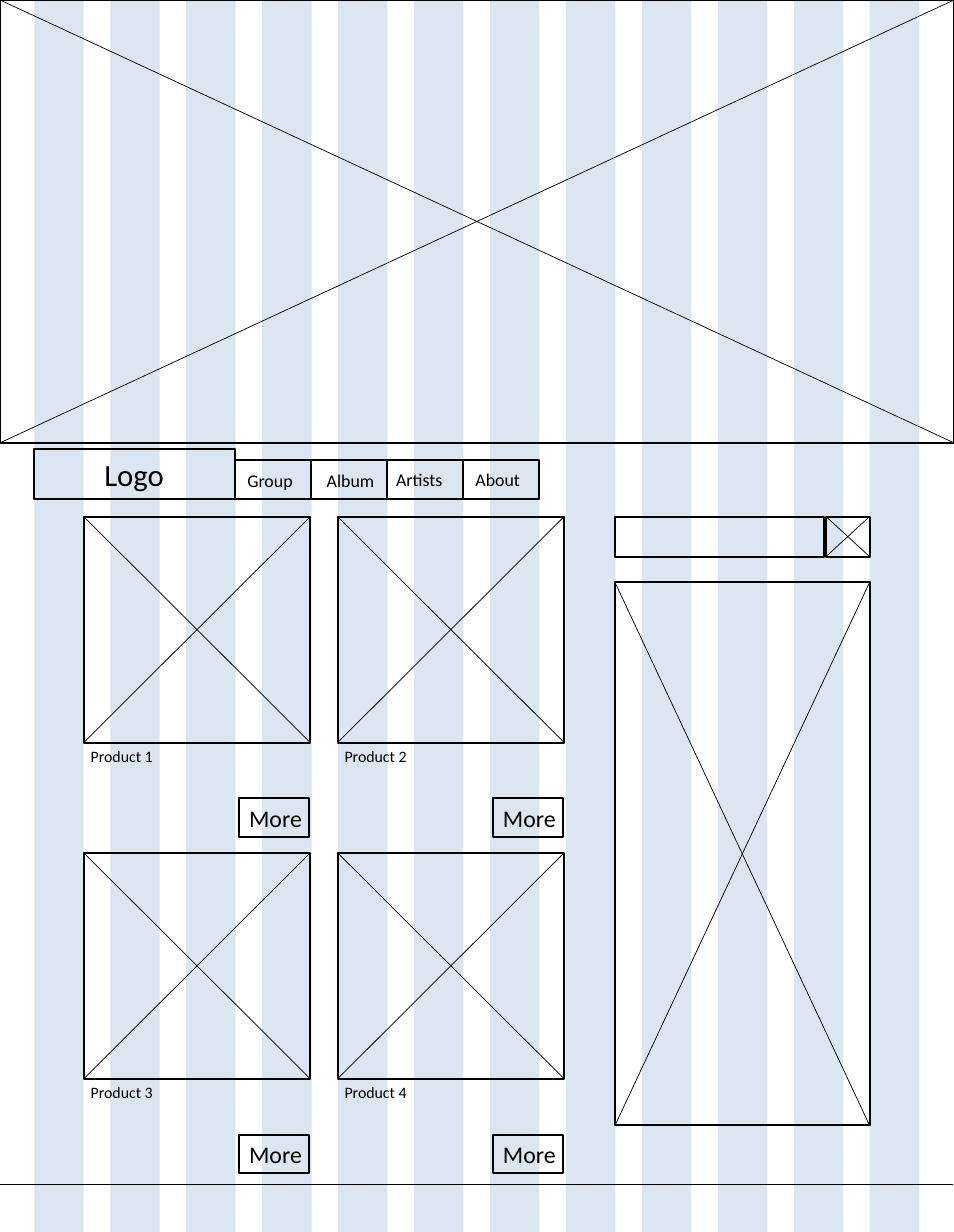
from lxml import etree
from pptx import Presentation
from pptx.dml.color import RGBColor
from pptx.enum import shapes, text
from pptx.oxml import ns
from pptx.util import Inches, Pt

BLACK = RGBColor(0x00, 0x00, 0x00)
PALE_BLUE = RGBColor(0xDC, 0xE6, 0xF2)
FONT = "Calibri"

WIDTH, HEIGHT = 13.34, 17.22
COLUMN_COUNT, COLUMN_LEFT, COLUMN_WIDTH, COLUMN_STEP = 12, 0.48, 0.69, 1.062

HERO = (0, 0, WIDTH, 6.19)
SIDEBAR = (8.6, 8.14, 3.56, 7.59)
SEARCH_FIELD = (8.6, 7.22, 2.93, 0.56)
SEARCH_ICON = (11.55, 7.22, 0.61, 0.56)
FOOTER_Y = 16.56

LOGO_BOX = (0.48, 6.27, 2.8, 0.71)
LOGO_TEXT = (1.36, 6.32, 1.05, 0.62)
NAV_LEFT, NAV_TOP, NAV_STEP, NAV_HEIGHT = 3.28, 6.43, 1.065, 0.55
NAV_ITEMS = [
    ("Group", 3.36, 6.51, 0.9),
    ("Album", 4.47, 6.51, 0.92),
    ("Artists", 5.44, 6.5, 1.23),
    ("About", 6.55, 6.5, 0.93),
]

PRODUCTS = [["Product 1", "Product 2"], ["Product 3", "Product 4"]]
CARD_LEFT, CARD_TOP = 1.17, 7.22
CARD_STEP_X, CARD_STEP_Y = 3.55, 4.7
CARD_WIDTH, CARD_HEIGHT = 3.17, 3.16

deck = Presentation()
deck.slide_width, deck.slide_height = Inches(WIDTH), Inches(HEIGHT)
page = deck.slides.add_slide(deck.slide_layouts[6])


def add_box(left, top, width, height, fill=None):
    box = page.shapes.add_shape(
        shapes.MSO_SHAPE.RECTANGLE,
        Inches(left), Inches(top), Inches(width), Inches(height))
    box.shadow.inherit = False
    if fill is None:
        box.fill.background()
        box.line.color.rgb = BLACK
        box.line.width = Pt(2)
    else:
        box.fill.solid()
        box.fill.fore_color.rgb = fill
        box.line.fill.background()
    return box


def add_line(x1, y1, x2, y2):
    line = page.shapes.add_connector(
        shapes.MSO_CONNECTOR.STRAIGHT,
        Inches(x1), Inches(y1), Inches(x2), Inches(y2))
    line.line.color.rgb = BLACK
    line.line.width = Pt(0.75)
    etree.SubElement(line._element.spPr, ns.qn("a:effectLst"))


def add_crossed_box(left, top, width, height):
    add_box(left, top, width, height)
    right, bottom = left + width, top + height
    add_line(left, top, right, bottom)
    add_line(right, top, left, bottom)


def write(frame, words, size, align=text.PP_ALIGN.LEFT):
    para = frame.paragraphs[0]
    para.text = words
    para.alignment = align
    para.font.name = FONT
    para.font.size = Pt(size)
    para.font.color.rgb = BLACK


def add_label(words, size, left, top, width, height, wrap=True):
    label = page.shapes.add_textbox(
        Inches(left), Inches(top), Inches(width), Inches(height))
    label.text_frame.word_wrap = wrap
    label.text_frame.auto_size = text.MSO_AUTO_SIZE.SHAPE_TO_FIT_TEXT
    write(label.text_frame, words, size)


def add_card(name, left, top):
    bottom = top + CARD_HEIGHT
    add_crossed_box(left, top, CARD_WIDTH, CARD_HEIGHT)
    add_label(name, 16, left, bottom, 2.77, 0.37)
    button = add_box(left + 2.17, bottom + 0.78, 0.98, 0.54)
    button.text_frame.vertical_anchor = text.MSO_ANCHOR.MIDDLE
    write(button.text_frame, "More", 24, text.PP_ALIGN.RIGHT)


for index in range(COLUMN_COUNT):
    add_box(COLUMN_LEFT + index * COLUMN_STEP, 0, COLUMN_WIDTH, HEIGHT, PALE_BLUE)

for area in (SIDEBAR, HERO, SEARCH_ICON):
    add_crossed_box(*area)
add_box(*SEARCH_FIELD)
add_line(-0.02, FOOTER_Y, WIDTH - 0.02, FOOTER_Y)

for index, (name, left, top, width) in enumerate(NAV_ITEMS):
    add_box(NAV_LEFT + index * NAV_STEP, NAV_TOP, NAV_STEP, NAV_HEIGHT)
    add_label(name, 18, left, top, width, 0.4)

add_box(*LOGO_BOX)
add_label("Logo", 31, *LOGO_TEXT, wrap=False)

for row, names in enumerate(PRODUCTS):
    for column, name in enumerate(names):
        add_card(name, CARD_LEFT + column * CARD_STEP_X, CARD_TOP + row * CARD_STEP_Y)

deck.save("out.pptx")
